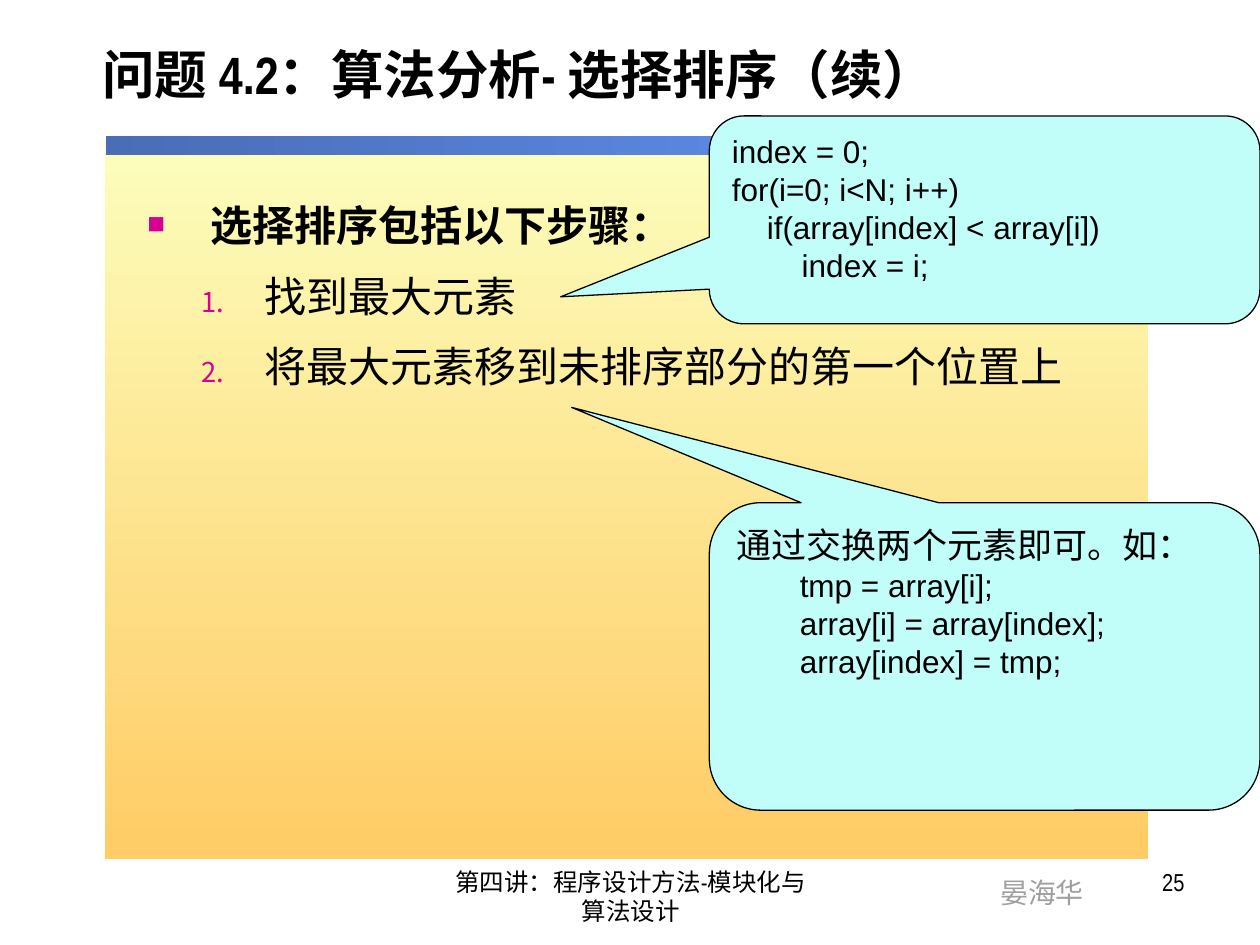
from lxml.etree import SubElement
from pptx import Presentation
from pptx.dml.color import RGBColor
from pptx.enum.shapes import MSO_SHAPE
from pptx.enum.text import MSO_ANCHOR, MSO_AUTO_SIZE, PP_ALIGN
from pptx.oxml.ns import qn
from pptx.util import Inches, Pt

COLORS = {
    "text": "000000", "author": "9F9F9F", "bullet": "D60093", "call": "C1FEF9",
    "cream": "FCFEBC", "amber": "FFCC66", "navy": "496DB6", "blue": "6699FF",
}
NARROW = "Arial Narrow"


def color(name):
    return RGBColor.from_string(COLORS[name])


def place(shape, box):
    shape.left, shape.top, shape.width, shape.height = map(Inches, box)


def style(para, size, face=NARROW, tone="text", bold=False):
    for run in para.runs:
        font = run.font
        font.size, font.name, font.bold = Pt(size), face, bold
        font.color.rgb = color(tone)


def add_band(slide, box, start, end, angle):
    """Add a borderless rectangle with a two-colour gradient."""
    band = slide.shapes.add_shape(MSO_SHAPE.RECTANGLE, *map(Inches, box))
    band.shadow.inherit = False
    band.line.fill.background()
    band.fill.gradient()
    band.fill.gradient_angle = angle
    for stop, name, spot in zip(band.fill.gradient_stops, (start, end), (0, 1)):
        stop.color.rgb = color(name)
        stop.position = spot


def add_note(slide, box, text, align, size=14, face=NARROW, tone="text", wrap=True):
    frame = slide.shapes.add_textbox(*map(Inches, box)).text_frame
    frame.word_wrap = wrap
    frame.text = text
    para = frame.paragraphs[0]
    para.alignment = align
    style(para, size, face, tone)


def fill_title(shape, box, text):
    place(shape, box)
    frame = shape.text_frame
    frame.auto_size = MSO_AUTO_SIZE.NONE
    frame.vertical_anchor = MSO_ANCHOR.MIDDLE
    frame.text = text
    para = frame.paragraphs[0]
    para.alignment = PP_ALIGN.LEFT
    para.line_spacing = 0.8
    style(para, 30, bold=True)


def set_bullet(para, margin, scale, tag, **attrs):
    """Set the hanging indent and a coloured bullet of the given kind."""
    props = para._p.get_or_add_pPr()
    props.set("marL", str(Inches(margin)))
    props.set("indent", str(Inches(-0.5)))
    tint = SubElement(props, qn("a:buClr"))
    SubElement(tint, qn("a:srgbClr"), val=COLORS["bullet"])
    SubElement(props, qn("a:buSzPct"), val=str(scale * 1000))
    SubElement(props, qn("a:buFont"), typeface=NARROW)
    SubElement(props, qn(tag), **attrs)


def fill_body(shape, box, head, steps):
    place(shape, box)
    frame = shape.text_frame
    frame.auto_size = MSO_AUTO_SIZE.NONE
    frame.text = "\n".join([head, *steps])
    for i, para in enumerate(frame.paragraphs):
        para.line_spacing = 0.9
        if i == 0:
            para.space_before = Pt(0)
            set_bullet(para, 0.5, 70, "a:buChar", char="■")
        else:
            para.level = 1
            gap = SubElement(para._p.get_or_add_pPr(), qn("a:spcBef"))
            SubElement(gap, qn("a:spcPct"), val="60000")
            set_bullet(para, 0.93, 65, "a:buAutoNum", type="arabicPeriod")
        style(para, 24, bold=i == 0)


def add_call(slide, box, tip, lines, sizes, indent=0):
    """Add a callout; tip is its point, and lines after the first are indented."""
    call = slide.shapes.add_shape(
        MSO_SHAPE.ROUNDED_RECTANGULAR_CALLOUT, *map(Inches, box))
    for i, value in enumerate((*tip, 0.167)):
        call.adjustments[i] = value
    call.shadow.inherit = False
    call.fill.solid()
    call.fill.fore_color.rgb = color("call")
    call.line.color.rgb = color("text")
    call.line.width = Pt(0.75)
    frame = call.text_frame
    frame.word_wrap = True
    frame.vertical_anchor = MSO_ANCHOR.TOP
    frame.text = "\n".join(lines)
    for i, para in enumerate(frame.paragraphs):
        para.alignment = PP_ALIGN.LEFT
        if i and indent:
            para.level = 1
            para._p.get_or_add_pPr().set("marL", str(Inches(indent)))
        style(para, sizes[min(i, 1)], "Arial")


def main():
    deck = Presentation()
    deck.slide_width, deck.slide_height = Inches(10), Inches(7.5)
    slide = deck.slides.add_slide(deck.slide_layouts[1])
    title, body = slide.placeholders
    # Bands go behind the placeholders.
    add_band(slide, (0.83, 1.1, 8.28, 5.72), "cream", "amber", 270)
    add_band(slide, (0.84, 1.08, 8.27, 0.15), "navy", "blue", 0)
    tree = slide.shapes._spTree
    for holder in (title, body):
        tree.append(holder._element)

    fill_title(title, (0.71, 0.17, 8.96, 0.92), "问题 4.2：算法分析- 选择排序（续）")
    fill_body(body, (1.07, 1.58, 7.77, 4.98), "选择排序包括以下步骤：",
              ["找到最大元素", "将最大元素移到未排序部分的第一个位置上"])
    add_note(slide, (7.84, 6.9, 0.87, 0.37), "晏海华", PP_ALIGN.LEFT,
             16, "Arial", "author", False)
    add_note(slide, (3.42, 6.83, 3.17, 0.52),
             "第四讲：程序设计方法-模块化与算法设计", PP_ALIGN.CENTER)
    add_note(slide, (7.17, 6.83, 2.33, 0.52), "25", PP_ALIGN.RIGHT)
    add_call(slide, (5.63, 0.92, 4.37, 1.65), (-0.77, 0.37),
             ["index = 0;", "for(i=0; i<N; i++)",
              "    if(array[index] < array[i])", "        index = i;"], (18, 18))
    add_call(slide, (5.63, 3.99, 4.37, 2.44), (-0.75, -0.81),
             ["通过交换两个元素即可。如：", "tmp = array[i];",
              "array[i] = array[index];", "array[index] = tmp;"], (20, 18), 0.5)
    deck.save("out.pptx")


if __name__ == "__main__":
    main()
